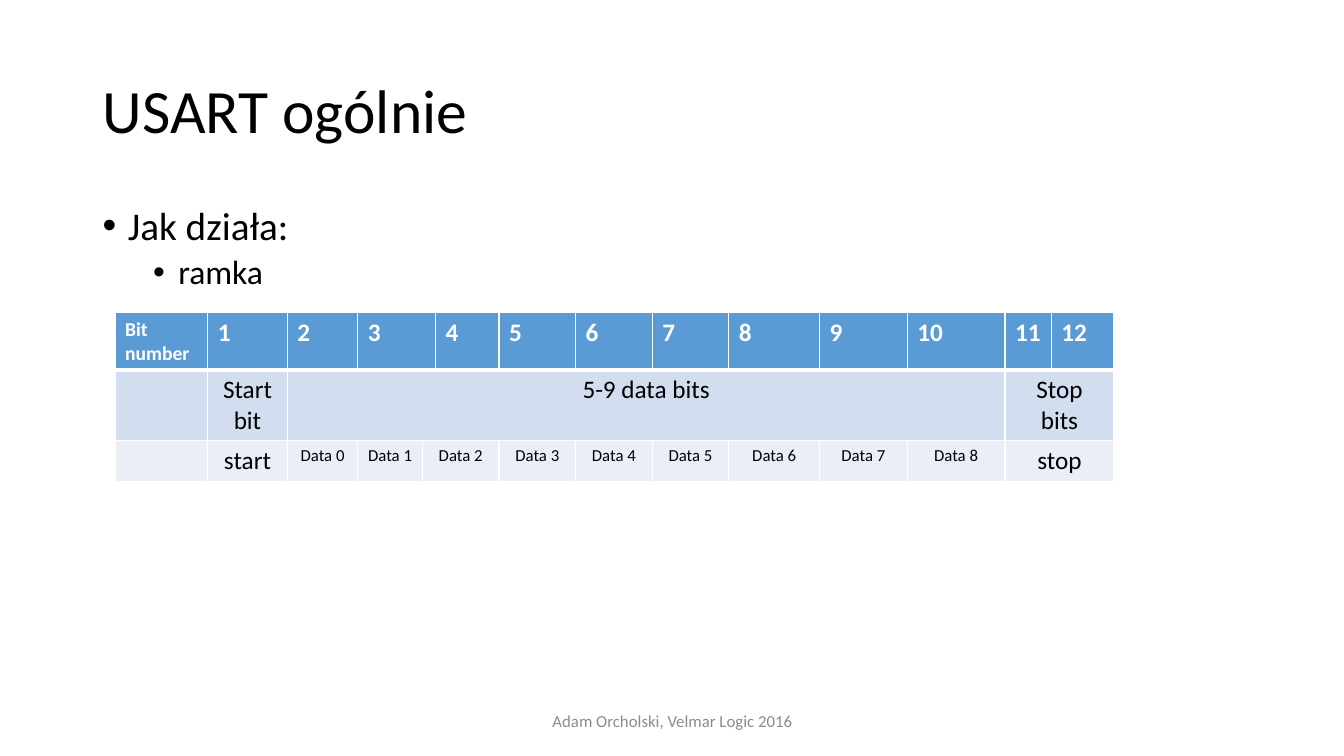
import pptx
import pptx.util
import pptx.dml.color
import pptx.enum.text
import pptx.oxml.ns
import lxml.etree

Inches = pptx.util.Inches
Pt = pptx.util.Pt
RGBColor = pptx.dml.color.RGBColor
ALIGN = pptx.enum.text.PP_ALIGN
ANCHOR = pptx.enum.text.MSO_ANCHOR
qn = pptx.oxml.ns.qn

BLACK = RGBColor(0x00, 0x00, 0x00)
WHITE = RGBColor(0xFF, 0xFF, 0xFF)
GREY = RGBColor(0x8C, 0x8C, 0x8C)
HEADER_BLUE = RGBColor(0x5B, 0x9B, 0xD5)
BAND_DARK = RGBColor(0xD2, 0xDE, 0xEF)
BAND_LIGHT = RGBColor(0xEA, 0xEF, 0xF7)
FONT = "Calibri"

COLUMN_WIDTHS = [0.92, 0.79, 0.7, 0.64, 0.13, 0.63, 0.76, 0.76, 0.76,
                 0.9, 0.87, 0.97, 0.46, 0.62]
ROW_HEIGHT = 0.41

# Each entry is (text, size, columns spanned).
HEADER_ROW = [("Bit number", 14, 1)] + [
    (str(bit), 18, 2 if bit == 3 else 1) for bit in range(1, 13)]
GROUP_ROW = [("", 18, 1), ("Start bit", 18, 1), ("5-9 data bits", 18, 10),
             ("Stop bits", 18, 2)]
FRAME_ROW = [("", 18, 1), ("start", 18, 1)] + [
    (f"Data {bit}", 12, 2 if bit == 2 else 1) for bit in range(9)] + [
    ("stop", 18, 2)]


def add_run(p, text, size, color, bold=False):
    r = p.add_run()
    r.text = text
    r.font.name = FONT
    r.font.size = Pt(size)
    r.font.color.rgb = color
    r.font.bold = bold


def add_text_frame(s, box, anchor):
    tf = s.shapes.add_textbox(*map(Inches, box)).text_frame
    tf.word_wrap = True
    tf.vertical_anchor = anchor
    return tf


def add_title(s, box, text):
    p = add_text_frame(s, box, ANCHOR.MIDDLE).paragraphs[0]
    p.line_spacing = 0.9
    add_run(p, text, 44, BLACK)


def add_bullets(s, box, items):
    tf = add_text_frame(s, box, ANCHOR.TOP)
    for i, (text, level, size, space_before) in enumerate(items):
        p = tf.add_paragraph() if i else tf.paragraphs[0]
        p.level = level
        p.line_spacing = 0.9
        p.space_before = Pt(space_before)
        pPr = p._p.get_or_add_pPr()
        pPr.set("marL", str(Inches(0.25 + 0.5 * level)))
        pPr.set("indent", str(Inches(-0.25)))
        lxml.etree.SubElement(pPr, qn("a:buFont")).set("typeface", "Arial")
        lxml.etree.SubElement(pPr, qn("a:buChar")).set("char", "•")
        add_run(p, text, size, BLACK)


def style_cell(cell, fill, top, bottom):
    tcPr = cell._tc.get_or_add_tcPr()
    for side, width in (("L", 1), ("R", 1), ("T", top), ("B", bottom)):
        ln = lxml.etree.SubElement(tcPr, qn(f"a:ln{side}"))
        ln.set("w", str(Pt(width)))
        solid = lxml.etree.SubElement(ln, qn("a:solidFill"))
        lxml.etree.SubElement(solid, qn("a:srgbClr")).set("val", str(WHITE))
    cell.fill.solid()
    cell.fill.fore_color.rgb = fill


def add_frame_table(s, left, top):
    rows = [(HEADER_ROW, HEADER_BLUE, WHITE, ALIGN.LEFT, 1, 3),
            (GROUP_ROW, BAND_DARK, BLACK, ALIGN.CENTER, 3, 1),
            (FRAME_ROW, BAND_LIGHT, BLACK, ALIGN.CENTER, 1, 1)]
    table = s.shapes.add_table(
        len(rows), len(COLUMN_WIDTHS), Inches(left), Inches(top),
        Inches(sum(COLUMN_WIDTHS)), Inches(ROW_HEIGHT * len(rows))).table
    for column, width in zip(table.columns, COLUMN_WIDTHS):
        column.width = Inches(width)
    for y, (entries, fill, color, align, above, below) in enumerate(rows):
        table.rows[y].height = Inches(ROW_HEIGHT)
        for cell in table.rows[y].cells:
            style_cell(cell, fill, above, below)
        x = 0
        for text, size, span in entries:
            cell = table.cell(y, x)
            if span > 1:
                cell.merge(table.cell(y, x + span - 1))
            if text:
                p = cell.text_frame.paragraphs[0]
                p.alignment = align
                add_run(p, text, size, color, bold=y == 0)
            x += span


def add_footer(s, box, text):
    p = add_text_frame(s, box, ANCHOR.MIDDLE).paragraphs[0]
    p.alignment = ALIGN.CENTER
    add_run(p, text, 12, GREY)


def main():
    prs = pptx.Presentation()
    prs.slide_width = Inches(13.33)
    prs.slide_height = Inches(7.5)
    s = prs.slides.add_slide(prs.slide_layouts[6])
    add_title(s, (0.92, 0.4, 11.5, 1.45), "USART ogólnie")
    add_bullets(s, (0.92, 2, 11.5, 4.76),
                [("Jak działa:", 0, 28, 10), ("ramka", 1, 24, 5)])
    add_frame_table(s, 1.14, 3.1)
    add_footer(s, (4.42, 6.95, 4.5, 0.4), "Adam Orcholski, Velmar Logic 2016")
    prs.save("out.pptx")


if __name__ == "__main__":
    main()
